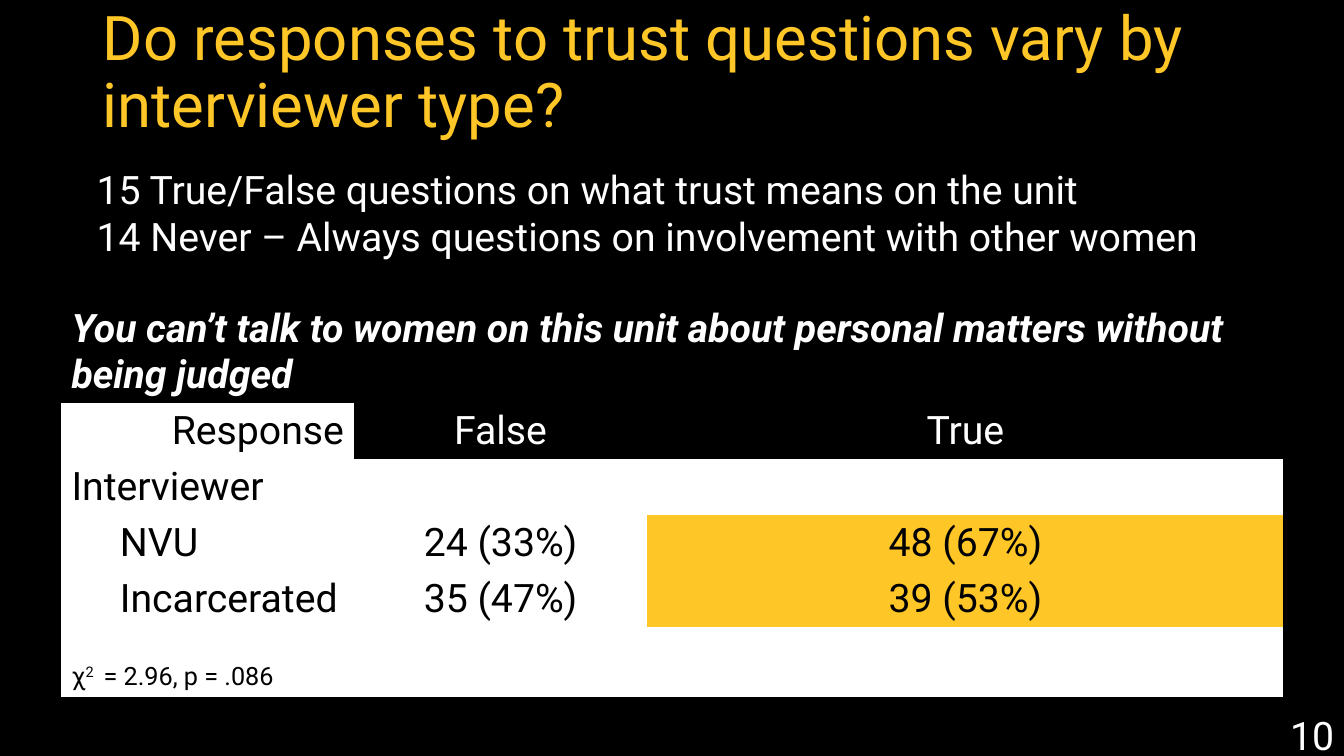
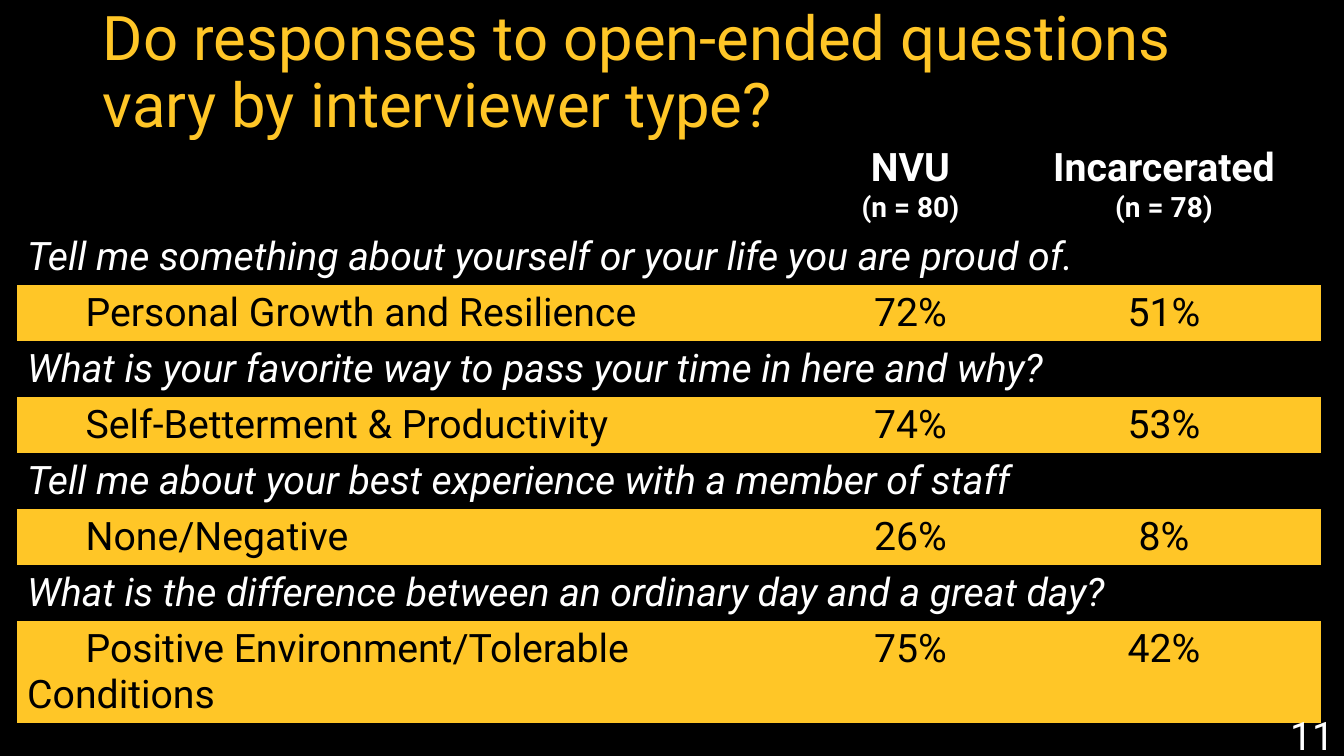
from dataclasses import dataclass

from pptx import Presentation
from pptx.dml.color import RGBColor
from pptx.enum.text import MSO_ANCHOR, MSO_AUTO_SIZE, PP_ALIGN
from pptx.oxml.ns import qn
from pptx.util import Inches, Pt


@dataclass(frozen=True)
class Theme:
    font: str = "Roboto"
    black: str = "000000"
    white: str = "FFFFFF"
    gold: str = "FFC627"
    head: int = 44
    body: int = 28
    small: int = 20
    note: int = 18
    plain: str = "{2D5ABB26-0587-4C30-8999-92F81FD0307C}"  # no style, no grid


THEME = Theme()
SCHOOL = "NVU"


@dataclass
class Cell:
    """One table cell; sizes go by line, runs are (text, raised percent) pairs."""
    text: str = ""
    fill: str = THEME.white
    ink: str = THEME.black
    align: PP_ALIGN = PP_ALIGN.CENTER
    sizes: tuple = (THEME.body,)
    bold: bool = False
    ital: bool = False
    indent: float = 0
    span: int = 1
    anchor: MSO_ANCHOR = MSO_ANCHOR.TOP
    runs: tuple = ()


class Deck:
    def __init__(self, theme):
        self.theme = theme
        self.prs = Presentation()
        self.prs.slide_width = Inches(13.33)
        self.prs.slide_height = Inches(7.5)
        back = self.prs.slide_master.background.fill
        back.solid()
        back.fore_color.rgb = RGBColor.from_string(theme.black)
        self.slide = None

    def style(self, para, size, ink, align=PP_ALIGN.LEFT, bold=False, ital=False):
        para.alignment = align
        font = para.font
        font.name, font.size = self.theme.font, Pt(size)
        font.bold, font.italic = bold, ital
        font.color.rgb = RGBColor.from_string(ink)

    def start(self, title):
        """Add a slide with its title."""
        self.slide = self.prs.slides.add_slide(self.prs.slide_layouts[5])
        shape = self.slide.shapes.title
        shape.left, shape.top = Inches(0.92), Inches(0.01)
        shape.width, shape.height = Inches(11.5), Inches(1.45)
        frame = shape.text_frame
        frame.text = title
        frame.word_wrap = True
        frame.auto_size = MSO_AUTO_SIZE.NONE
        frame.vertical_anchor = MSO_ANCHOR.MIDDLE
        para = frame.paragraphs[0]
        para.line_spacing = 0.9
        self.style(para, self.theme.head, self.theme.gold)

    def text(self, place, words, align=PP_ALIGN.LEFT, anchor=MSO_ANCHOR.TOP):
        box = self.slide.shapes.add_textbox(*map(Inches, place))
        frame = box.text_frame
        frame.word_wrap = True
        frame.vertical_anchor = anchor
        frame.text = words
        for para in frame.paragraphs:
            self.style(para, self.theme.body, self.theme.white, align)

    def number(self, value):
        self.text((10.33, 7.09, 3, 0.4), str(value), PP_ALIGN.RIGHT, MSO_ANCHOR.MIDDLE)

    def table(self, left, top, cols, rows):
        """Rows are (height, cells) pairs."""
        high = sum(tall for tall, _ in rows)
        place = map(Inches, (left, top, sum(cols), high))
        shape = self.slide.shapes.add_table(len(rows), len(cols), *place)
        grid = shape.table
        grid.first_row = grid.horz_banding = False
        for mark in shape.element.iter(qn("a:tableStyleId")):
            mark.text = self.theme.plain
        for col, wide in zip(grid.columns, cols):
            col.width = Inches(wide)
        for r, (tall, cells) in enumerate(rows):
            grid.rows[r].height = Inches(tall)
            for c, item in enumerate(cells):
                self.cell(grid, r, c, item)

    def cell(self, grid, r, c, item):
        spot = grid.cell(r, c)
        if item.span > 1:
            spot.merge(grid.cell(r, c + item.span - 1))
        spot.fill.solid()
        spot.fill.fore_color.rgb = RGBColor.from_string(item.fill)
        spot.vertical_anchor = item.anchor
        frame = spot.text_frame
        frame.text = item.text
        for para, size in zip(frame.paragraphs, item.sizes):
            self.style(para, size, item.ink, item.align, item.bold, item.ital)
            if item.indent:
                # First line only
                para._p.get_or_add_pPr().set("indent", str(Inches(item.indent)))
        for words, rise in item.runs:
            run = frame.paragraphs[0].add_run()
            run.text = words
            if rise:
                run.font._element.set("baseline", str(rise * 1000))


def trust(deck):
    theme = deck.theme
    deck.start("Do responses to trust questions vary by interviewer type?")

    # Response table
    def head(text):
        return Cell(text, theme.black, theme.white)

    def count(name, false, true):
        return 0.55, [Cell(name, align=PP_ALIGN.LEFT, indent=0.48),
                      Cell(false), Cell(true, theme.gold)]

    quote = Cell("You can’t talk to women on this unit about personal matters "
                 "without being judged", theme.black, theme.white,
                 PP_ALIGN.LEFT, bold=True, ital=True, span=3)
    note = Cell(align=PP_ALIGN.LEFT, sizes=(theme.note,), anchor=MSO_ANCHOR.BOTTOM,
                runs=(("χ", 0), ("2 ", 30), (" = 2.96, p = .086", 0)))
    deck.table(0.61, 2.99, (2.9, 2.91, 6.31), [
        (1.01, [quote]),
        (0.55, [Cell("Response", align=PP_ALIGN.RIGHT), head("False"), head("True")]),
        (0.55, [Cell("Interviewer", align=PP_ALIGN.LEFT), Cell(), Cell()]),
        count(SCHOOL, "24 (33%)", "48 (67%)"),
        count("Incarcerated", "35 (47%)", "39 (53%)"),
        (0.69, [note, Cell(), Cell()]),
    ])
    deck.number(10)

    # Question counts
    deck.text((0.86, 1.59, 12.12, 1.04),
              "15 True/False questions on what trust means on the unit\n"
              "14 Never – Always questions on involvement with other women")


def themes(deck):
    theme = deck.theme
    deck.start("Do responses to open-ended questions vary by interviewer type?")

    # Column heads
    def head(text):
        return Cell(text, theme.black, theme.white,
                    sizes=(theme.body, theme.small), bold=True)

    rows = [(0.88, [Cell(fill=theme.black), head(f"{SCHOOL}\n(n = 80)"),
                    head("Incarcerated\n(n = 78)")])]

    # Each question with its leading answer
    pairs = [
        ("Tell me something about yourself or your life you are proud of.",
         "Personal Growth and Resilience", "72%", "51%"),
        ("What is your favorite way to pass your time in here and why?",
         "Self-Betterment & Productivity", "74%", "53%"),
        ("Tell me about your best experience with a member of staff",
         "None/Negative", "26%", "8%"),
        ("What is the difference between an ordinary day and a great day?",
         "Positive Environment/Tolerable Conditions", "75%", "42%"),
    ]
    for ask, reply, *shares in pairs:
        rows.append((0.55, [Cell(ask, theme.black, theme.white, PP_ALIGN.LEFT,
                                 ital=True, span=3)]))
        rows.append((0.55, [Cell(reply, theme.gold, align=PP_ALIGN.LEFT, indent=0.58),
                            *(Cell(share, theme.gold) for share in shares)]))
    rows[-1] = (1.01, rows[-1][1])
    deck.table(0.17, 1.39, (7.9, 1.92, 3.11), rows)
    deck.number(11)


def main():
    deck = Deck(THEME)
    trust(deck)
    themes(deck)
    deck.prs.save("out.pptx")


if __name__ == "__main__":
    main()
